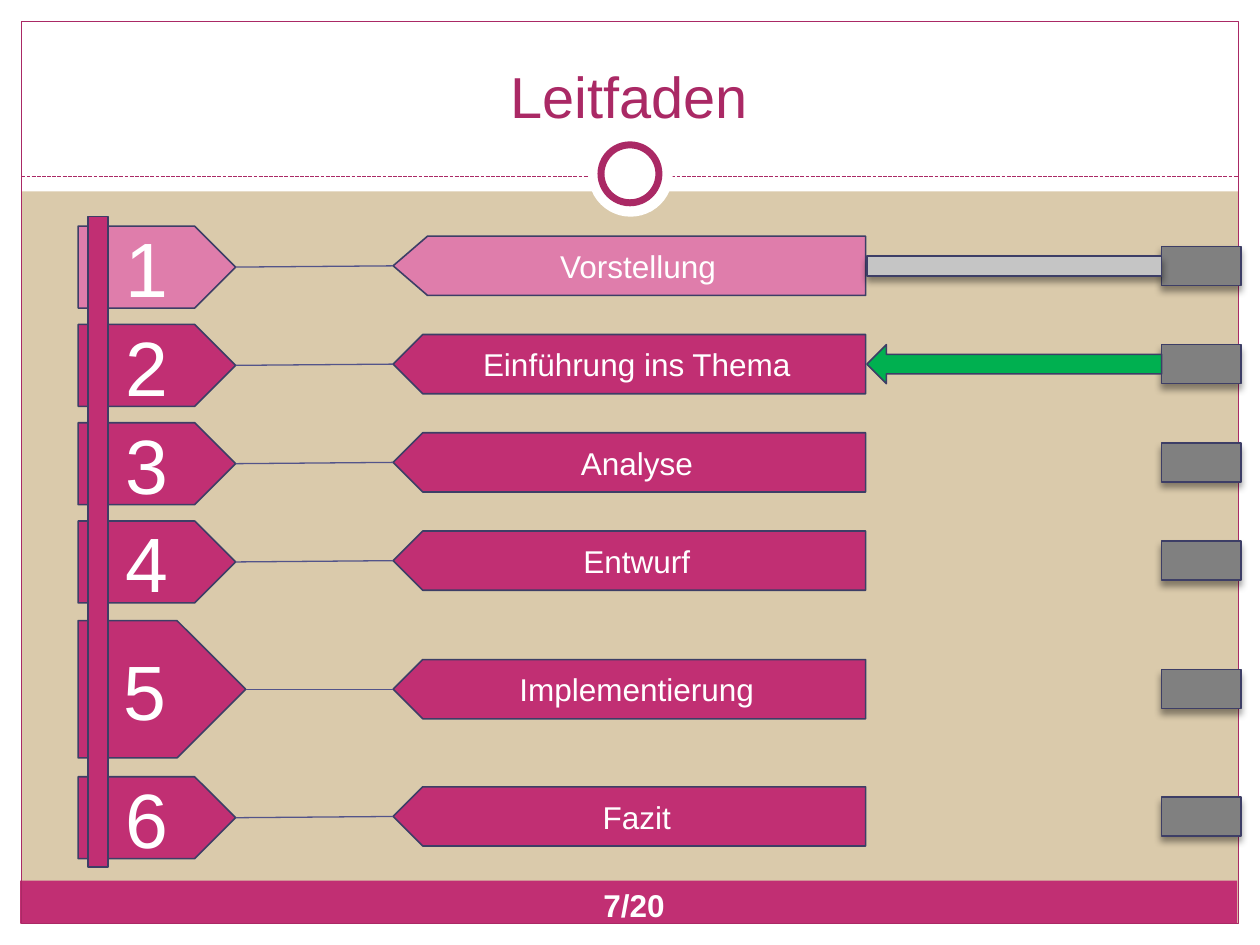
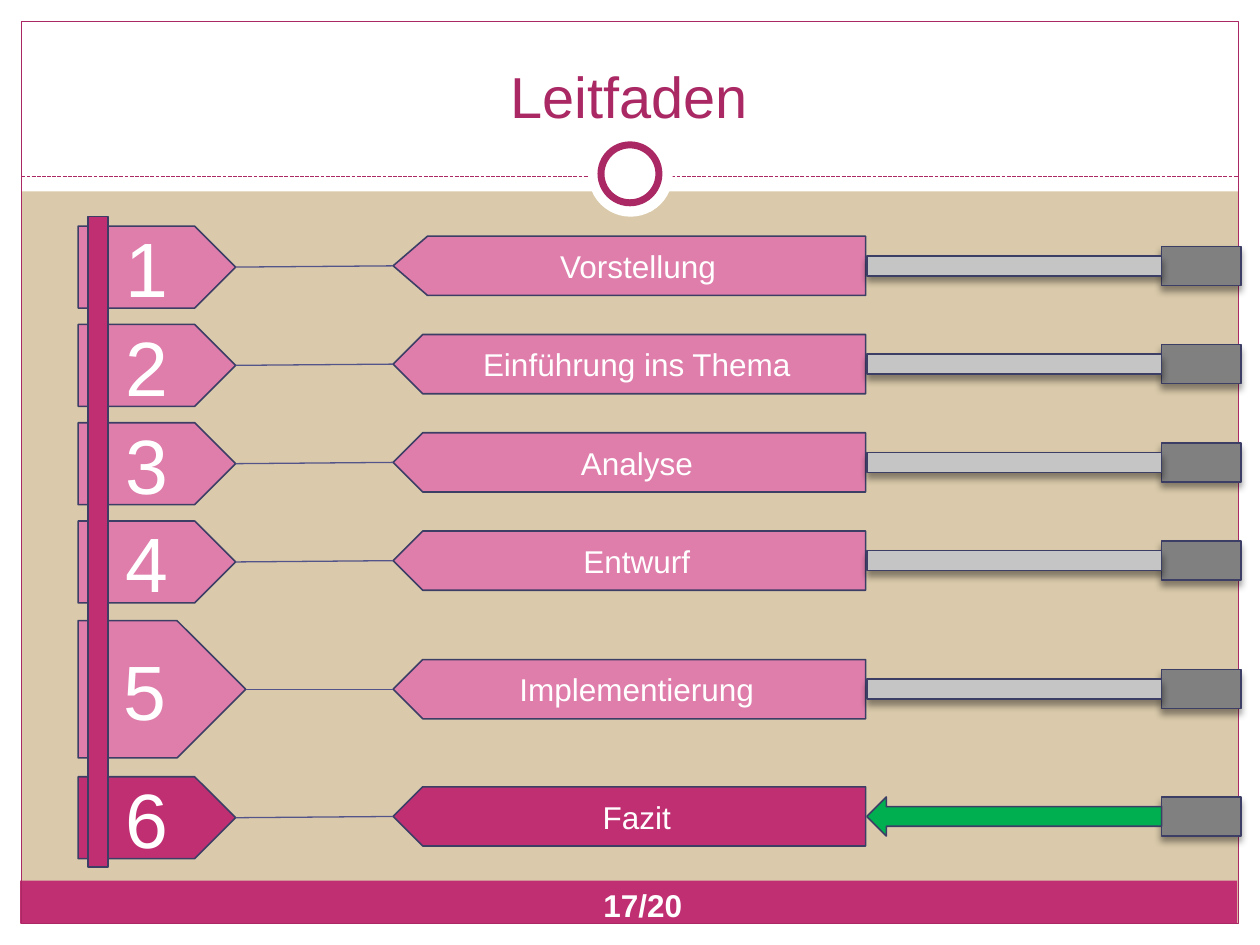
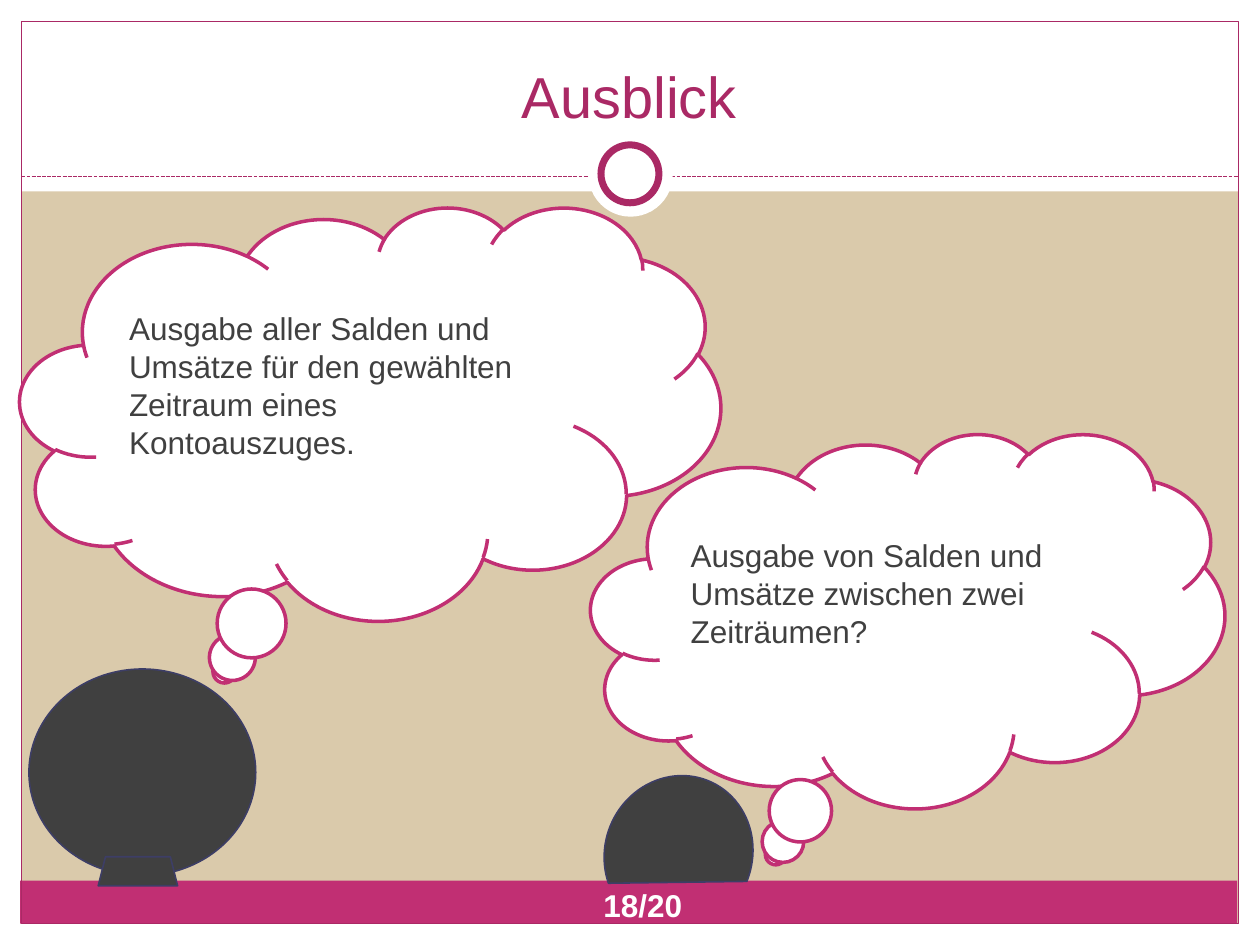
import pptx
import pptx.dml.color
import pptx.enum.dml
import pptx.enum.shapes
import pptx.enum.text
import pptx.oxml.ns
import pptx.util
import lxml.etree

Inches = pptx.util.Inches
Pt = pptx.util.Pt
SHAPE = pptx.enum.shapes.MSO_SHAPE
ALIGN = pptx.enum.text.PP_ALIGN
ANCHOR = pptx.enum.text.MSO_ANCHOR

PITCH = 0.78
FIRST_CENTER = 2.11
TOPICS = [
    ("Vorstellung", FIRST_CENTER),
    ("Einführung ins Thema", FIRST_CENTER + PITCH),
    ("Analyse", FIRST_CENTER + 2 * PITCH),
    ("Entwurf", FIRST_CENTER + 3 * PITCH),
    ("Implementierung", 5.47),
    ("Fazit", 6.48),
]
TALL_TOPIC = 5


def color(value):
    return pptx.dml.color.RGBColor.from_string(value)


def add_child(parent, tag, **attributes):
    return lxml.etree.SubElement(parent, pptx.oxml.ns.qn(tag), attributes)


class Style:
    FONT = "Arial"
    SAND = "DACAAB"
    WHITE = "FFFFFF"
    BERRY = "C12F73"
    ROSE = "DF7DAB"
    WINE = "AA2965"
    INDIGO = "3D3E66"
    VIOLET = "53548A"
    DARK = "404040"
    GRAY = "808080"
    SILVER = "C5C5C5"
    GREEN = "00B050"

    def __init__(self):
        self.deck = pptx.Presentation()
        self.deck.slide_width = Inches(10)
        self.deck.slide_height = Inches(7.5)
        self.page = None

    def shape(self, kind, left, top, width, height, fill=None, line=INDIGO, weight=0.9):
        box = self.page.shapes.add_shape(
            kind, Inches(left), Inches(top), Inches(width), Inches(height))
        box.shadow.inherit = False
        if fill:
            box.fill.solid()
            box.fill.fore_color.rgb = color(fill)
        else:
            box.fill.background()
        if line:
            box.line.color.rgb = color(line)
            box.line.width = Pt(weight)
        else:
            box.line.fill.background()
        return box

    def shadowed(self, left, top, width, height, fill):
        box = self.shape(SHAPE.RECTANGLE, left, top, width, height, fill)
        effects = box._element.spPr.find(pptx.oxml.ns.qn("a:effectLst"))
        shadow = add_child(effects, "a:outerShdw", blurRad=str(Pt(4)), dist=str(Pt(3)),
                           dir="5400000", rotWithShape="0")
        tint = add_child(shadow, "a:srgbClr", val="000000")
        add_child(tint, "a:alpha", val="40000")
        return box

    def line(self, start, end, stroke, dash=None):
        connector = self.page.shapes.add_connector(
            pptx.enum.shapes.MSO_CONNECTOR.STRAIGHT,
            Inches(start[0]), Inches(start[1]), Inches(end[0]), Inches(end[1]))
        connector.line.color.rgb = color(stroke)
        connector.line.width = Pt(0.75)
        if dash:
            connector.line.dash_style = dash
        add_child(connector._element.spPr, "a:effectLst")

    def label(self, box, text, size, ink=WHITE, align=ALIGN.CENTER,
              anchor=ANCHOR.MIDDLE, bold=False, wrap=True):
        frame = box.text_frame
        frame.text = text
        frame.word_wrap = wrap
        frame.vertical_anchor = anchor
        para = frame.paragraphs[0]
        para.alignment = align
        for span in para.runs:
            span.font.name = self.FONT
            span.font.size = Pt(size)
            span.font.bold = bold
            span.font.color.rgb = color(ink)

    def text(self, left, top, width, height, text, size, **options):
        box = self.page.shapes.add_textbox(
            Inches(left), Inches(top), Inches(width), Inches(height))
        self.label(box, text, size, **options)
        return box

    def new_page(self, title):
        self.page = self.deck.slides.add_slide(self.deck.slide_layouts[6])
        background = self.page.background.fill
        background.solid()
        background.fore_color.rgb = color(self.SAND)
        for margin in [(0, 7.33, 10, 0.17), (0, 0, 10, 1.52),
                       (0, 0, 0.17, 7.5), (9.83, 0, 0.17, 7.5)]:
            self.shape(SHAPE.RECTANGLE, *margin, self.WHITE, None)
        self.shape(SHAPE.RECTANGLE, 0.16, 6.99, 9.66, 0.34, self.BERRY, None)
        self.shape(SHAPE.RECTANGLE, 0.17, 0.17, 9.66, 7.16, None, self.WINE, 0.75)
        self.line((0.17, 1.4), (9.83, 1.4), self.WINE,
                  pptx.enum.dml.MSO_LINE.SQUARE_DOT)
        self.shape(SHAPE.OVAL, 4.67, 1.05, 0.67, 0.67, self.WHITE, None)
        self.shape(SHAPE.OVAL, 4.77, 1.15, 0.46, 0.46, self.WHITE, self.WINE, 4)
        self.text(0.33, 0.25, 9.33, 0.83, title, 33, ink=self.WINE, anchor=ANCHOR.BOTTOM)

    def page_number(self, text, width=0.83):
        box = self.text(4.69, 6.98, width, 0.4, text, 18, align=ALIGN.LEFT,
                        anchor=ANCHOR.TOP, bold=True, wrap=False)
        box.text_frame.auto_size = pptx.enum.text.MSO_AUTO_SIZE.SHAPE_TO_FIT_TEXT

    def topic(self, number, name, center, current):
        fill = self.ROSE if number < current else self.BERRY
        tall = number == TALL_TOPIC
        width, height, drop = (1.33, 1.09, 0) if tall else (1.25, 0.65, 0.01)
        plate = self.shape(SHAPE.PENTAGON, 0.62, center + drop - height / 2,
                           width, height, fill)
        self.label(plate, str(number), 44)
        sign = self.shape(SHAPE.PENTAGON, 3.12, center - 0.235, 3.75, 0.47, fill)
        sign.rotation = 180
        sign._element.spPr.xfrm.set("flipV", "1")
        if number == 1:
            sign.adjustments[0] = 0.58
        self.label(sign, name, 18)
        self.line((0.62 + width, center + drop), (3.12, center), self.VIOLET)
        self.shadowed(9.22, center - 0.155, 0.63, 0.31, self.GRAY)
        if number < current:
            self.shadowed(6.88, center - 0.08, 2.34, 0.16, self.SILVER)
        elif number == current:
            self.shape(SHAPE.LEFT_ARROW, 6.88, center - 0.155, 2.34, 0.31, self.GREEN)

    def guide(self, current):
        self.new_page("Leitfaden")
        for number, (name, center) in enumerate(TOPICS, 1):
            self.topic(number, name, center, current)
        self.shape(SHAPE.RECTANGLE, 0.7, 1.72, 0.16, 5.16, self.BERRY)

    def thought(self, left, top, width, height, text):
        cloud = self.shape(SHAPE.CLOUD_CALLOUT, left, top, width, height,
                           self.WHITE, self.BERRY, 2)
        self.label(cloud, text, 18, ink=self.DARK, align=ALIGN.LEFT)
        cloud.text_frame.margin_bottom = Inches(0.35)


def main():
    style = Style()
    style.guide(2)
    style.page_number("7/20", 0.69)
    style.guide(6)
    style.page_number("17/20")

    style.new_page("Ausblick")
    style.thought(0.16, 1.64, 5.56, 3.28, "Ausgabe aller Salden und Umsätze für den "
                  "gewählten Zeitraum eines Kontoauszuges.")
    style.thought(4.69, 3.44, 5.03, 2.97,
                  "Ausgabe von Salden und Umsätze zwischen zwei Zeiträumen?")
    style.shape(SHAPE.OVAL, 0.23, 5.31, 1.8, 1.64, style.DARK)
    style.shape(SHAPE.TRAPEZOID, 0.78, 6.8, 0.63, 0.23, style.DARK)
    head = style.shape(SHAPE.CHORD, 4.76, 6.19, 1.25, 1.17, style.DARK)
    head.rotation = 112.1
    style.page_number("18/20")
    style.deck.save("out.pptx")


if __name__ == "__main__":
    main()
